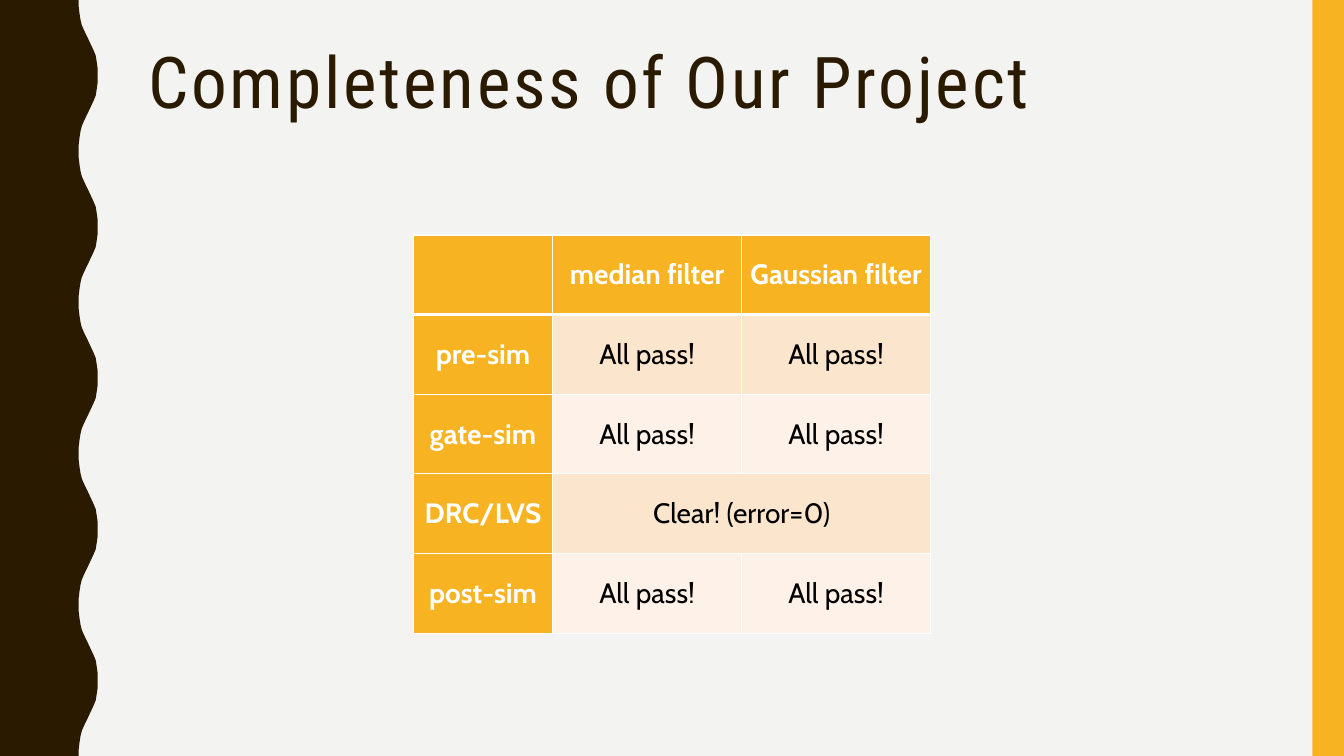
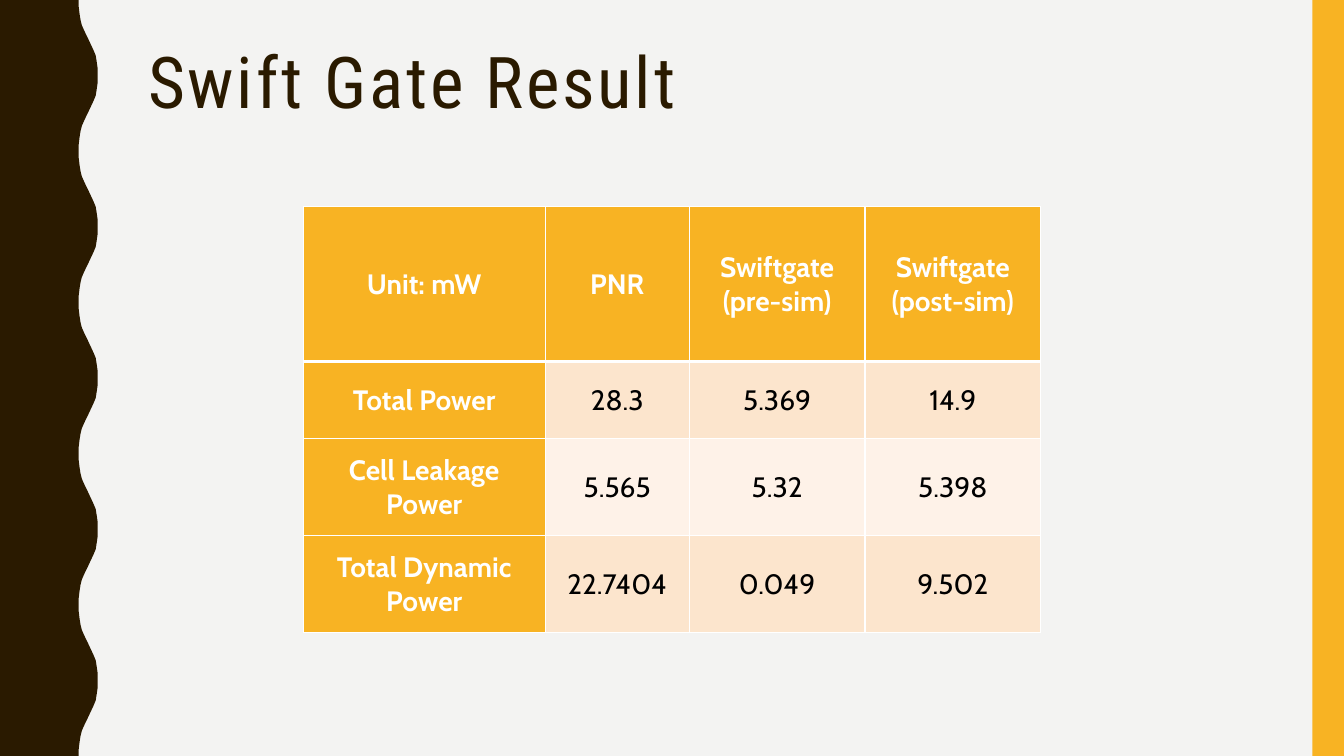
import pptx
import pptx.dml.color
import pptx.enum.shapes
import pptx.enum.text
import pptx.oxml
import pptx.oxml.ns
import pptx.util

Pt = pptx.util.Pt
qn = pptx.oxml.ns.qn

# Content: None continues the cell to its left
SLIDES = [
    {
        "title": "Completeness of Our Project",
        "top": 167.8,
        "columns": [99.5, 135, 135],
        "rows": [56.9] * 5,
        "cells": [
            ["", "median filter", "Gaussian filter"],
            ["pre-sim", "All pass!", "All pass!"],
            ["gate-sim", "All pass!", "All pass!"],
            ["DRC/LVS", "Clear! (error=0)", None],
            ["post-sim", "All pass!", "All pass!"],
        ],
    },
    {
        "title": "Swift Gate Result",
        "top": 147.6,
        "columns": [172.8, 103, 125.5, 125.5],
        "rows": [110.6, 55.3, 69.3, 69.3],
        "cells": [
            ["Unit: mW", "PNR", "Swiftgate\n(pre-sim)", "Swiftgate\n(post-sim)"],
            ["Total Power", "28.3", "5.369", "14.9"],
            ["Cell Leakage Power", "5.565", "5.32", "5.398"],
            ["Total Dynamic Power", "22.7404", "0.049", "9.502"],
        ],
    },
]


# Theme
class Theme:
    background = "F3F3F2"
    dark = "2A1A00"
    accent = "F8B323"
    bands = ("FCE5CD", "FEF2E8")
    light = "FFFFFF"
    text = "000000"
    title_font = "Roboto Condensed"
    title_size = 51
    title_spacing = 2
    table_font = "Cabin"
    table_size = 20
    thin_border = 1
    header_border = 3


WIDTH, HEIGHT = 960, 540
TITLE_BOX = {"left": 98.6, "top": 30.2, "width": 801.4, "height": 117.4}
BAR_WIDTH = 22.5
WAVES = 5
# Wave edge from trough to crest: x, and y from the start of the wave
HALF_WAVE = [
    (56.2, 0), (56.3, 5), (56.9, 10), (57.6, 14.4), (58.5, 18),
    (59.8, 21), (61.2, 24), (62.7, 27), (64.1, 30), (65.5, 33),
    (66.9, 36), (68.4, 39.6), (69.1, 44), (69.8, 49), (69.8, 54),
]


def color(value):
    return pptx.dml.color.RGBColor.from_string(value)


def set_fill(fill, value):
    fill.solid()
    fill.fore_color.rgb = color(value)


def set_attributes(target, values):
    for name, value in values.items():
        setattr(target, name, value)


def wave_points():
    period = HEIGHT / WAVES
    crest_to_trough = [(x, period - y) for x, y in reversed(HALF_WAVE[:-1])]
    wave = HALF_WAVE + crest_to_trough
    edge = [(x, y + period * index) for index in range(WAVES) for x, y in wave]
    return [(Pt(x), Pt(y)) for x, y in edge + [(0, HEIGHT)]]


def add_master_bands(master, slide):
    """Draw the side bands and move them behind the master's placeholders."""
    builder = slide.shapes.build_freeform(Pt(0), Pt(0))
    builder.add_line_segments(wave_points(), close=True)
    wave_band = builder.convert_to_shape()
    side_bar = slide.shapes.add_shape(
        pptx.enum.shapes.MSO_SHAPE.RECTANGLE,
        Pt(WIDTH - BAR_WIDTH), Pt(0), Pt(BAR_WIDTH), Pt(HEIGHT))
    for shape, fill in ((wave_band, Theme.dark), (side_bar, Theme.accent)):
        set_fill(shape.fill, fill)
        shape.line.fill.background()
        shape.shadow.inherit = False
        master.shapes.element.insert(2, shape.element)


def style_master(master):
    set_fill(master.background.fill, Theme.background)
    title = next(shape for shape in master.placeholders
                 if shape.placeholder_format.type
                 == pptx.enum.shapes.PP_PLACEHOLDER.TITLE)
    set_attributes(title, {name: Pt(value) for name, value in TITLE_BOX.items()})
    set_attributes(title.text_frame, {
        "vertical_anchor": pptx.enum.text.MSO_ANCHOR.TOP,
        "auto_size": pptx.enum.text.MSO_AUTO_SIZE.NONE,
        "word_wrap": True,
    })
    # Title text style
    title_style = master.element.find(".//" + qn("p:titleStyle"))
    title_style.clear()
    title_style.append(pptx.oxml.parse_xml(
        f'<a:lvl1pPr {pptx.oxml.ns.nsdecls("a")} algn="l">'
        '<a:lnSpc><a:spcPct val="90000"/></a:lnSpc><a:buNone/>'
        f'<a:defRPr sz="{Theme.title_size * 100}" '
        f'spc="{Theme.title_spacing * 100}">'
        f'<a:solidFill><a:srgbClr val="{Theme.dark}"/></a:solidFill>'
        f'<a:latin typeface="{Theme.title_font}"/>'
        '</a:defRPr></a:lvl1pPr>'))


def set_borders(cell, top, bottom):
    properties = cell._tc.get_or_add_tcPr()
    widths = {"lnL": Theme.thin_border, "lnR": Theme.thin_border,
              "lnT": top, "lnB": bottom}
    for index, (side, width) in enumerate(widths.items()):
        properties.insert(index, pptx.oxml.parse_xml(
            f'<a:{side} {pptx.oxml.ns.nsdecls("a")} w="{Pt(width)}">'
            f'<a:solidFill><a:srgbClr val="{Theme.light}"/></a:solidFill>'
            f'</a:{side}>'))


def format_cell(cell, text, row, column):
    is_header = row == 0 or column == 0
    set_attributes(cell, {
        "text": text or "",
        "vertical_anchor": pptx.enum.text.MSO_ANCHOR.MIDDLE,
        "margin_left": Pt(5), "margin_right": Pt(5),
        "margin_top": 0, "margin_bottom": 0,
    })
    set_fill(cell.fill, Theme.accent if is_header else Theme.bands[(row - 1) % 2])
    set_borders(cell,
                Theme.header_border if row == 1 else Theme.thin_border,
                Theme.header_border if row == 0 else Theme.thin_border)
    for paragraph in cell.text_frame.paragraphs:
        paragraph.alignment = pptx.enum.text.PP_ALIGN.CENTER
        set_attributes(paragraph.font, {
            "name": Theme.table_font,
            "size": Pt(Theme.table_size),
            "bold": is_header,
        })
        for run in paragraph.runs:
            set_attributes(run.font, {
                "name": Theme.table_font,
                "size": Pt(Theme.table_size),
                "bold": is_header,
            })
            run.font.color.rgb = color(Theme.light if is_header else Theme.text)


def add_centred_table(slide, content):
    columns, rows = content["columns"], content["rows"]
    width = sum(columns)
    table = slide.shapes.add_table(
        len(rows), len(columns), Pt((WIDTH - width) / 2), Pt(content["top"]),
        Pt(width), Pt(sum(rows))).table
    for column, column_width in zip(table.columns, columns):
        column.width = Pt(column_width)
    for row, row_height in zip(table.rows, rows):
        row.height = Pt(row_height)
    for row, texts in enumerate(content["cells"]):
        for column, text in enumerate(texts):
            cell = table.cell(row, column)
            format_cell(cell, text, row, column)
            if text is None:
                table.cell(row, column - 1).merge(cell)


def main():
    presentation = pptx.Presentation()
    set_attributes(presentation,
                   {"slide_width": Pt(WIDTH), "slide_height": Pt(HEIGHT)})
    master = presentation.slide_master
    style_master(master)
    title_only = presentation.slide_layouts.get_by_name("Title Only")
    for index, content in enumerate(SLIDES):
        slide = presentation.slides.add_slide(title_only)
        if index == 0:
            add_master_bands(master, slide)
        slide.shapes.title.text = content["title"]
        add_centred_table(slide, content)
    presentation.save("out.pptx")


if __name__ == "__main__":
    main()
